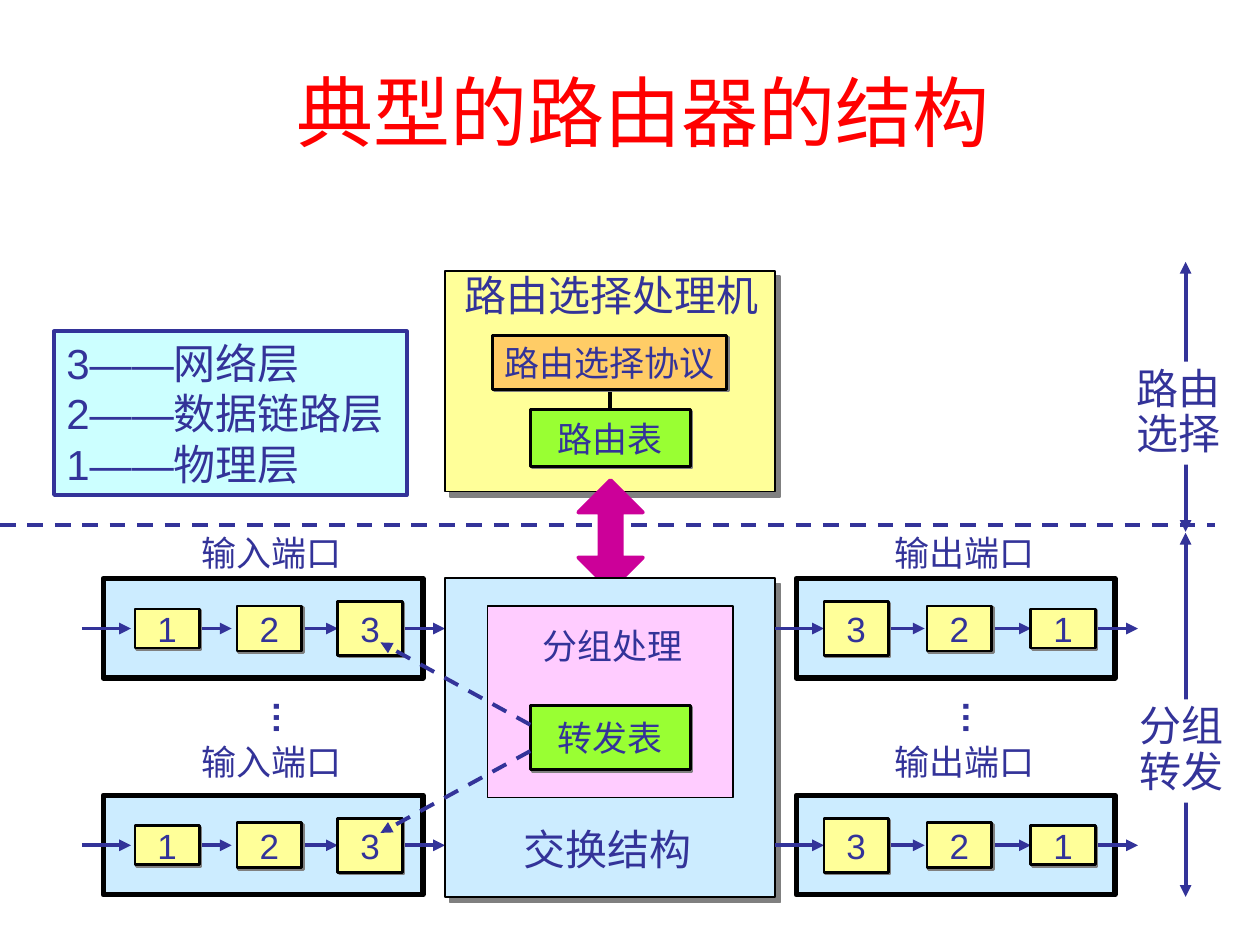
import pptx
import pptx.util
import pptx.dml.color
import pptx.enum.dml
import pptx.enum.shapes
import pptx.enum.text
import pptx.oxml
import pptx.oxml.ns
import lxml.etree

Cm, Pt = pptx.util.Cm, pptx.util.Pt
RGBColor = pptx.dml.color.RGBColor
SHAPES = pptx.enum.shapes.MSO_SHAPE
ALIGN = pptx.enum.text.PP_ALIGN
ANCHOR = pptx.enum.text.MSO_ANCHOR
qn = pptx.oxml.ns.qn

RED = RGBColor(0xFF, 0x00, 0x00)
NAVY = RGBColor(0x33, 0x33, 0x99)
BLACK = RGBColor(0x00, 0x00, 0x00)
WHITE = RGBColor(0xFF, 0xFF, 0xFF)
GRAY = RGBColor(0x80, 0x80, 0x80)
YELLOW = RGBColor(0xFF, 0xFF, 0x99)
ORANGE = RGBColor(0xFF, 0xCC, 0x66)
GREEN = RGBColor(0x99, 0xFF, 0x33)
MAGENTA = RGBColor(0xCC, 0x00, 0x99)
PINK = RGBColor(0xFF, 0xCC, 0xFF)
PALE_BLUE = RGBColor(0xCC, 0xEC, 0xFF)
PALE_CYAN = RGBColor(0xCC, 0xFF, 0xFF)

# Content; all lengths in centimetres
TITLE = "典型的路由器的结构 "
LEGEND = ["3——网络层", "2——数据链路层", "1——物理层"]
ROW_CENTERS = [12.67, 17.04]
LABEL_TOPS = [10.59, 14.81]
STAGE_WIDTH = 1.3
STAGE_HEIGHTS = {"1": 0.79, "2": 0.91, "3": 1.09}
INPUT = {
    "label": ("输入端口", 3.81), "frame": (2.08, 6.45), "dots": 5.18,
    "stages": [("1", 2.72), ("2", 4.78), ("3", 6.81)],
    "arrows": [(1.65, 2.64), (3.81, 4.67), (5.94, 6.81), (8.1, 8.97)],
}
OUTPUT = {
    "label": ("输出端口", 17.78), "frame": (16.05, 6.43), "dots": 19.08,
    "stages": [("3", 16.61), ("2", 18.69), ("1", 20.78)],
    "arrows": [(15.62, 16.61), (17.78, 18.64), (19.91, 20.78), (22.05, 22.94)],
}
# Vertical spans: lines, label left, label top, arrow top, arrow bottom
SPANS = [
    (["路由", "选择"], 22.66, 7.29, 5.28, 10.72),
    (["分组", "转发"], 22.73, 14.1, 10.74, 18.08),
]
SPAN_X = 23.9

deck = pptx.Presentation()
deck.slide_width, deck.slide_height = Cm(25.4), Cm(19.05)
page = deck.slides.add_slide(deck.slide_layouts[5])


def write(shape, lines, size, color=NAVY, font="Arial", align=ALIGN.LEFT,
          anchor=ANCHOR.TOP, spacing=None, bold=None, wrap=False):
    frame = shape.text_frame
    frame.text = "\n".join(lines)
    frame.word_wrap = wrap
    frame.vertical_anchor = anchor
    for para in frame.paragraphs:
        para.alignment = align
        para.line_spacing = spacing
        for span in para.runs:
            span.font.size = Pt(size)
            span.font.name = font
            span.font.bold = bold
            span.font.color.rgb = color


def add_box(left, top, width, height, fill, line=BLACK, weight=1.5,
            shadow=0, kind=SHAPES.RECTANGLE):
    box = page.shapes.add_shape(kind, Cm(left), Cm(top), Cm(width), Cm(height))
    box.fill.solid()
    box.fill.fore_color.rgb = fill
    if line is None:
        box.line.fill.background()
    else:
        box.line.color.rgb = line
        box.line.width = Pt(weight)
    box.shadow.inherit = False
    if shadow:
        effects = box._element.spPr.find(qn("a:effectLst"))
        outer = lxml.etree.SubElement(
            effects, qn("a:outerShdw"), blurRad="0", dist=str(Pt(shadow)),
            dir="2700000", algn="ctr", rotWithShape="0")
        lxml.etree.SubElement(outer, qn("a:srgbClr"), val=str(GRAY))
    return box


def add_block(text, left, top, width, height, fill):
    """Shadowed box with centred text."""
    box = add_box(left, top, width, height, fill, shadow=1.4)
    write(box, [text], 20, align=ALIGN.CENTER, anchor=ANCHOR.MIDDLE)


def add_label(text, left, top, width, height, size=20, bold=None, rotation=0):
    box = page.shapes.add_textbox(Cm(left), Cm(top), Cm(width), Cm(height))
    box.rotation = rotation
    write(box, [text], size, bold=bold)


def add_line(x1, y1, x2, y2, color=NAVY, dashed=False, ends=()):
    line = page.shapes.add_connector(
        pptx.enum.shapes.MSO_CONNECTOR.STRAIGHT, Cm(x1), Cm(y1), Cm(x2), Cm(y2))
    line.line.color.rgb = color
    line.line.width = Pt(2.25)
    if dashed:
        line.line.dash_style = pptx.enum.dml.MSO_LINE.DASH
    outline = line.line._get_or_add_ln()
    for end in ends:
        lxml.etree.SubElement(outline, qn("a:" + end), type="triangle")
    lxml.etree.SubElement(line._element.spPr, qn("a:effectLst"))


def add_ports(side):
    text, label_left = side["label"]
    frame_left, frame_width = side["frame"]
    for center, label_top in zip(ROW_CENTERS, LABEL_TOPS):
        add_box(frame_left, center - 1.01, frame_width, 2.01, PALE_BLUE, weight=3)
        for start, end in side["arrows"]:
            add_line(start, center, end, center, ends=["tailEnd"])
        for number, left in side["stages"]:
            height = STAGE_HEIGHTS[number]
            add_block(number, left, center - height / 2, STAGE_WIDTH, height, YELLOW)
        add_label(text, label_left, label_top, 3.33, 1.12)
    add_label("…", side["dots"], 13.92, 1.22, 1.12, bold=True, rotation=90)


# Title
title = page.shapes.title
title.left, title.top, title.width, title.height = Cm(3.61), Cm(1.17), Cm(19.05), Cm(2.13)
write(title, [TITLE], 44, RED, "Times New Roman", ALIGN.CENTER, ANCHOR.MIDDLE, wrap=True)

# Divider and routing processor
add_line(0, 10.59, 24.49, 10.59, dashed=True)
add_box(8.97, 5.46, 6.65, 4.45, YELLOW, weight=1, shadow=4.2)
exchange = add_box(11.66, 9.68, 1.3, 2.21, MAGENTA, MAGENTA, 2.25,
                   kind=SHAPES.UP_DOWN_ARROW)
exchange.adjustments[0], exchange.adjustments[1] = 0.5, 0.34
add_label("路由选择处理机", 9.12, 5.31, 6.43, 1.27, size=24)
add_line(12.29, 7.57, 12.29, 8.23, BLACK)
add_block("路由选择协议", 9.93, 6.76, 4.72, 1.09, ORANGE)
add_block("路由表", 10.69, 8.26, 3.23, 1.14, GREEN)

# Ports around the switching fabric
add_ports(INPUT)
add_box(8.97, 11.66, 6.65, 6.43, PALE_BLUE, weight=1, shadow=4.2)
add_ports(OUTPUT)
add_label("交换结构", 10.31, 16.48, 3.89, 1.27, size=24)
add_box(9.83, 12.22, 4.95, 3.86, PINK, weight=0.75)
add_block("转发表", 10.69, 14.22, 3.23, 1.3, GREEN)
add_label("分组处理", 10.69, 12.47, 3.33, 1.12)

# Lookups from the forwarding table to the input ports
for start_y, end_y in [(14.61, 12.95), (15.14, 16.79)]:
    add_line(10.69, start_y, 7.67, end_y, dashed=True, ends=["tailEnd"])

# Vertical spans
for lines, left, label_top, top, bottom in SPANS:
    add_line(SPAN_X, top, SPAN_X, bottom, ends=["headEnd", "tailEnd"])
    write(add_box(left, label_top, 2.18, 2.08, WHITE, None), lines, 24, spacing=0.9)

# Legend
write(add_box(1.09, 6.68, 7.11, 3.3, PALE_CYAN, NAVY, 2.25), LEGEND, 24)

deck.save("out.pptx")
